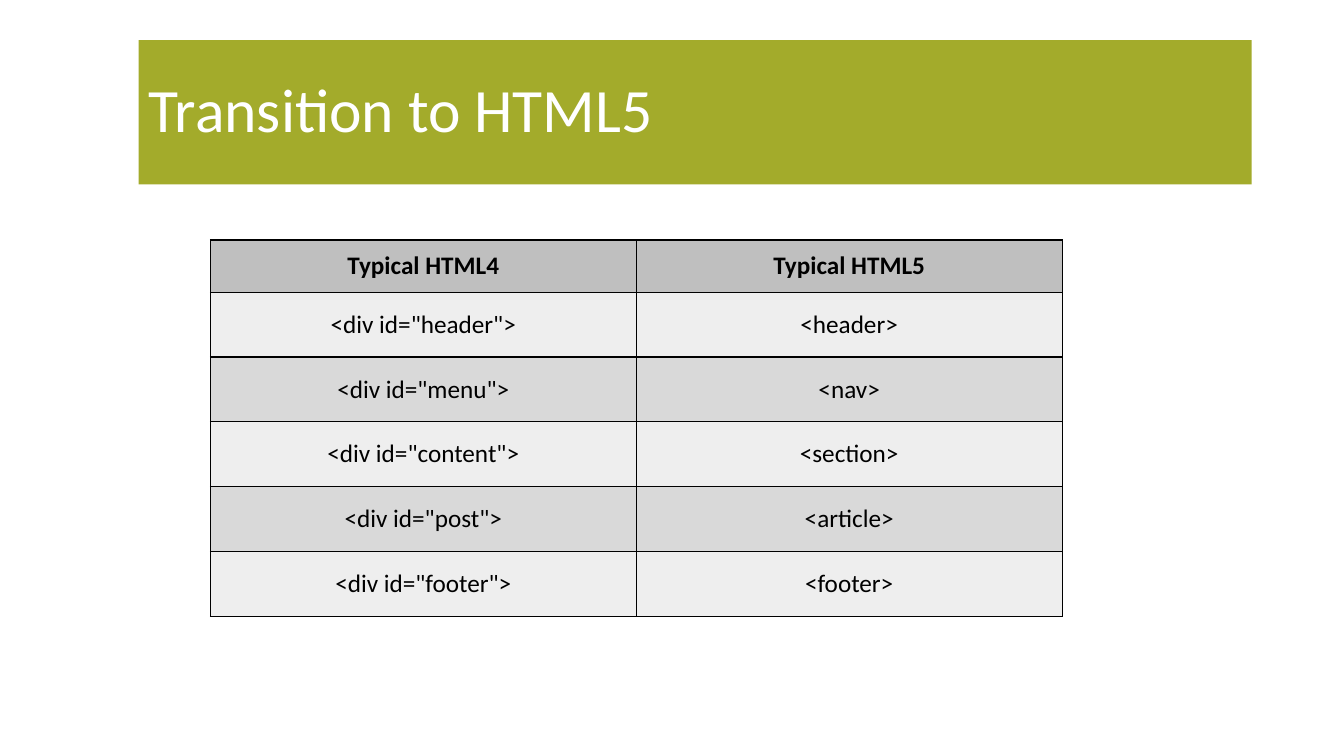
from lxml.etree import SubElement
from pptx import Presentation
from pptx.dml.color import RGBColor
from pptx.enum.text import MSO_ANCHOR, PP_ALIGN
from pptx.oxml.ns import qn
from pptx.util import Pt

TITLE = "Transition to HTML5"
ROWS = [
    ("Typical HTML4", "Typical HTML5"),
    ('<div id="header">', "<header>"),
    ('<div id="menu">', "<nav>"),
    ('<div id="content">', "<section>"),
    ('<div id="post">', "<article>"),
    ('<div id="footer">', "<footer>"),
]

FONT = "Calibri"
OLIVE = RGBColor(0xA3, 0xAB, 0x2B)
WHITE = RGBColor(0xFF, 0xFF, 0xFF)
BLACK = RGBColor(0x00, 0x00, 0x00)
HEAD_GREY = RGBColor(0xBF, 0xBF, 0xBF)
BANDS = (RGBColor(0xEE, 0xEE, 0xEE), RGBColor(0xD9, 0xD9, 0xD9))

LEFT, TOP, COL_W = 150.3, 171.5, 304.2
HEAD_H, ROW_H = 37.2, 46.3
HEAD_INSET, ROW_INSET = 1.5, 4.5


def format_text(tf, size, color, bold, align):
    tf.vertical_anchor = MSO_ANCHOR.MIDDLE
    p = tf.paragraphs[0]
    p.alignment = align
    f = p.runs[0].font
    f.name, f.size, f.bold = FONT, Pt(size), bold
    f.color.rgb = color


def add_borders(cell):
    tcPr = cell._tc.get_or_add_tcPr()
    for side in ("lnL", "lnR", "lnT", "lnB"):
        ln = SubElement(tcPr, qn(f"a:{side}"), w=str(Pt(1)))
        fill = SubElement(ln, qn("a:solidFill"))
        SubElement(fill, qn("a:srgbClr"), val=str(BLACK))


prs = Presentation()
prs.slide_width, prs.slide_height = Pt(960), Pt(540)
s = prs.slides.add_slide(prs.slide_layouts[5])

title = s.shapes.title
title.left, title.top, title.width, title.height = Pt(99), Pt(28.75), Pt(795), Pt(103)
title.fill.solid()
title.fill.fore_color.rgb = OLIVE
title.text_frame.text = TITLE
title.text_frame.paragraphs[0].line_spacing = 0.9
format_text(title.text_frame, 44, WHITE, False, PP_ALIGN.LEFT)

heights = [HEAD_H] + [ROW_H] * (len(ROWS) - 1)
n_cols = len(ROWS[0])
table = s.shapes.add_table(len(ROWS), n_cols, Pt(LEFT), Pt(TOP),
                           Pt(COL_W * n_cols), Pt(sum(heights))).table
for col in table.columns:
    col.width = Pt(COL_W)

for i, (texts, height) in enumerate(zip(ROWS, heights)):
    table.rows[i].height = Pt(height)
    head = i == 0
    inset = Pt(HEAD_INSET if head else ROW_INSET)
    for j, text in enumerate(texts):
        cell = table.cell(i, j)
        cell.text_frame.text = text
        format_text(cell.text_frame, 18, BLACK, head, PP_ALIGN.CENTER)
        cell.vertical_anchor = MSO_ANCHOR.MIDDLE
        cell.margin_left = cell.margin_right = inset
        cell.margin_top = cell.margin_bottom = inset
        add_borders(cell)
        cell.fill.solid()
        cell.fill.fore_color.rgb = HEAD_GREY if head else BANDS[(i - 1) % 2]

prs.save("out.pptx")
